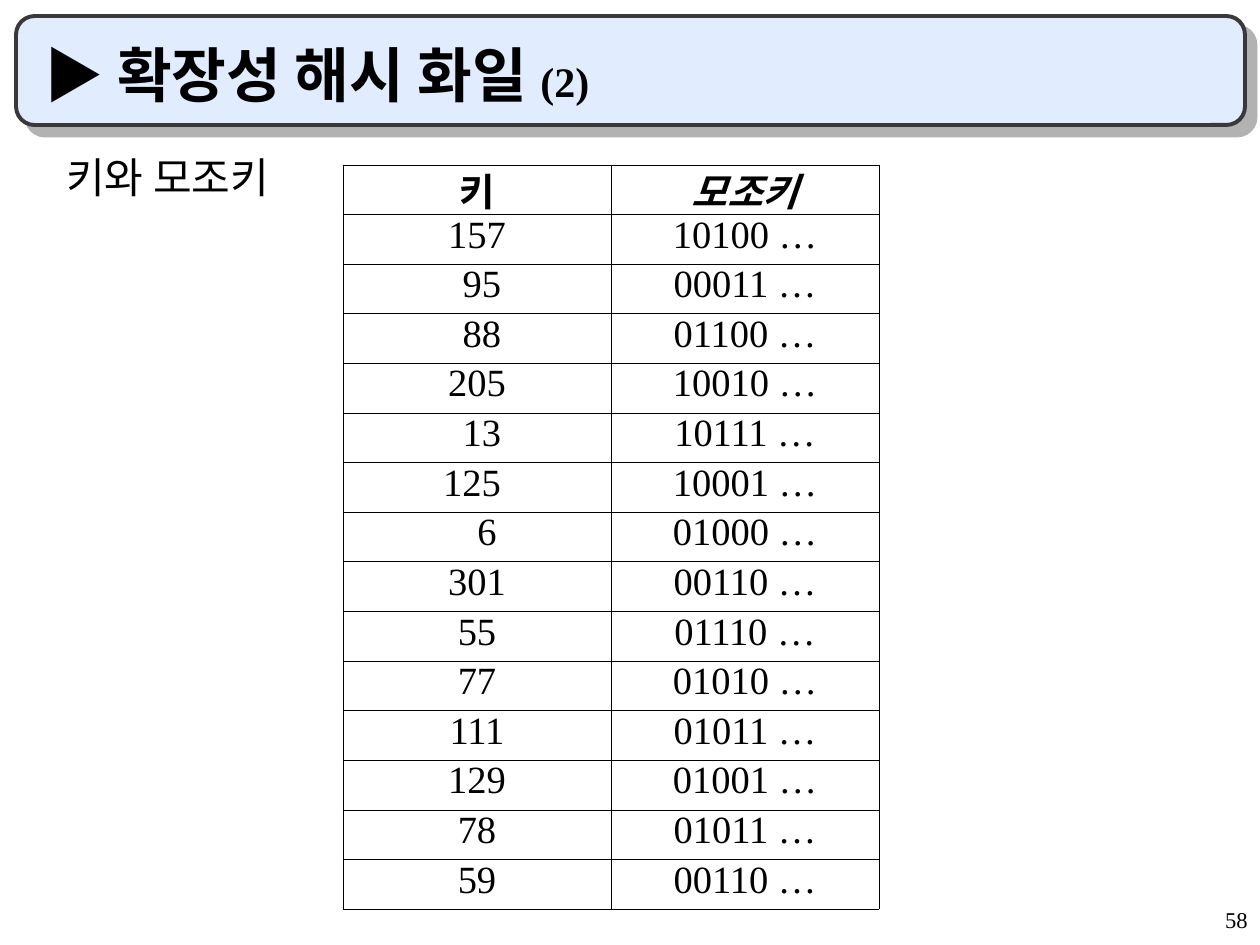
from lxml.etree import SubElement
from pptx import Presentation
from pptx.dml.color import RGBColor
from pptx.enum.shapes import MSO_SHAPE
from pptx.enum.text import MSO_ANCHOR, PP_ALIGN
from pptx.oxml.ns import qn
from pptx.util import Emu, Pt

COLORS = {"text": "000000", "banner": "E1ECFF", "outline": "393939", "shadow": "B2B2B2"}


def px(length):
    return Emu(round(length * 914400 / 126))


def write(para, text, size, **style):
    span = para.add_run()
    span.text = text
    span.font.color.rgb = RGBColor.from_string(COLORS["text"])
    for name, value in {"name": "Times New Roman", "size": Pt(size), **style}.items():
        setattr(span.font, name, value)


deck = Presentation()
deck.slide_width, deck.slide_height = px(1260), px(945)
page = deck.slides.add_slide(deck.slide_layouts[6])

banner = page.shapes.add_shape(MSO_SHAPE.ROUNDED_RECTANGLE, px(16), px(16), px(1229), px(109))
banner.adjustments[0] = 0.17
banner.fill.solid()
banner.fill.fore_color.rgb = RGBColor.from_string(COLORS["banner"])
banner.line.color.rgb = RGBColor.from_string(COLORS["outline"])
banner.line.width = Pt(2.25)
banner.shadow.inherit = False
effects = banner._element.spPr.find(qn("a:effectLst"))
shadow = SubElement(effects, qn("a:outerShdw"), dist=str(Pt(8.5)), dir="2700000", algn="ctr", rotWithShape="0")
SubElement(shadow, qn("a:srgbClr"), val=COLORS["shadow"])

texts = [
    ((998, 903, 262, 42), MSO_ANCHOR.TOP, {"alignment": PP_ALIGN.RIGHT, "line_spacing": 0.9},
     [("58", 12.9, False)]),
    ((32, 32, 1187, 84), MSO_ANCHOR.BOTTOM, {"alignment": PP_ALIGN.LEFT},
     [("▶ 확장성 해시 화일 ", 34, True), ("(2)", 24, True)]),
    ((54, 145, 287, 63), MSO_ANCHOR.TOP, {"alignment": PP_ALIGN.LEFT},
     [("키와 모조키", 24, False)]),
]
for place, anchor, layout, spans in texts:
    box = page.shapes.add_textbox(*map(px, place))
    box.text_frame.word_wrap = True
    box.text_frame.vertical_anchor = anchor
    para = box.text_frame.paragraphs[0]
    for name, value in layout.items():
        setattr(para, name, value)
    for text, size, bold in spans:
        write(para, text, size, bold=bold)

rows = [
    ("키", "모조키"),
    ("157", "10100 …"),
    ("95", "00011 …"),
    ("88", "01100 …"),
    ("205", "10010 …"),
    ("13", "10111 …"),
    ("125", "10001 …"),
    ("6", "01000 …"),
    ("301", "00110 …"),
    ("55", "01110 …"),
    ("77", "01010 …"),
    ("111", "01011 …"),
    ("129", "01001 …"),
    ("78", "01011 …"),
    ("59", "00110 …"),
]
shifts = {"95": 10, "88": 10, "13": 10, "125": -10, "6": 20}

table = page.shapes.add_table(len(rows), 2, px(343), px(165), px(536), px(743)).table
table.first_row = False
table.horz_banding = False
for row, values in enumerate(rows):
    for column, value in enumerate(values):
        cell = table.cell(row, column)
        shift = shifts.get(value, 0)
        cell.margin_left = px(13 + max(shift, 0))
        cell.margin_right = px(13 + max(-shift, 0))
        for side in ("a:lnL", "a:lnR", "a:lnT", "a:lnB"):
            border = SubElement(cell._tc.get_or_add_tcPr(), qn(side), w=str(Pt(0.45)))
            fill = SubElement(border, qn("a:solidFill"))
            SubElement(fill, qn("a:srgbClr"), val=COLORS["text"])
        cell.fill.background()
        para = cell.text_frame.paragraphs[0]
        para.alignment = PP_ALIGN.CENTER
        para.line_spacing = 0.8
        write(para, value, 22, bold=row == 0, italic=row == 0 and column == 1)

deck.save("out.pptx")
